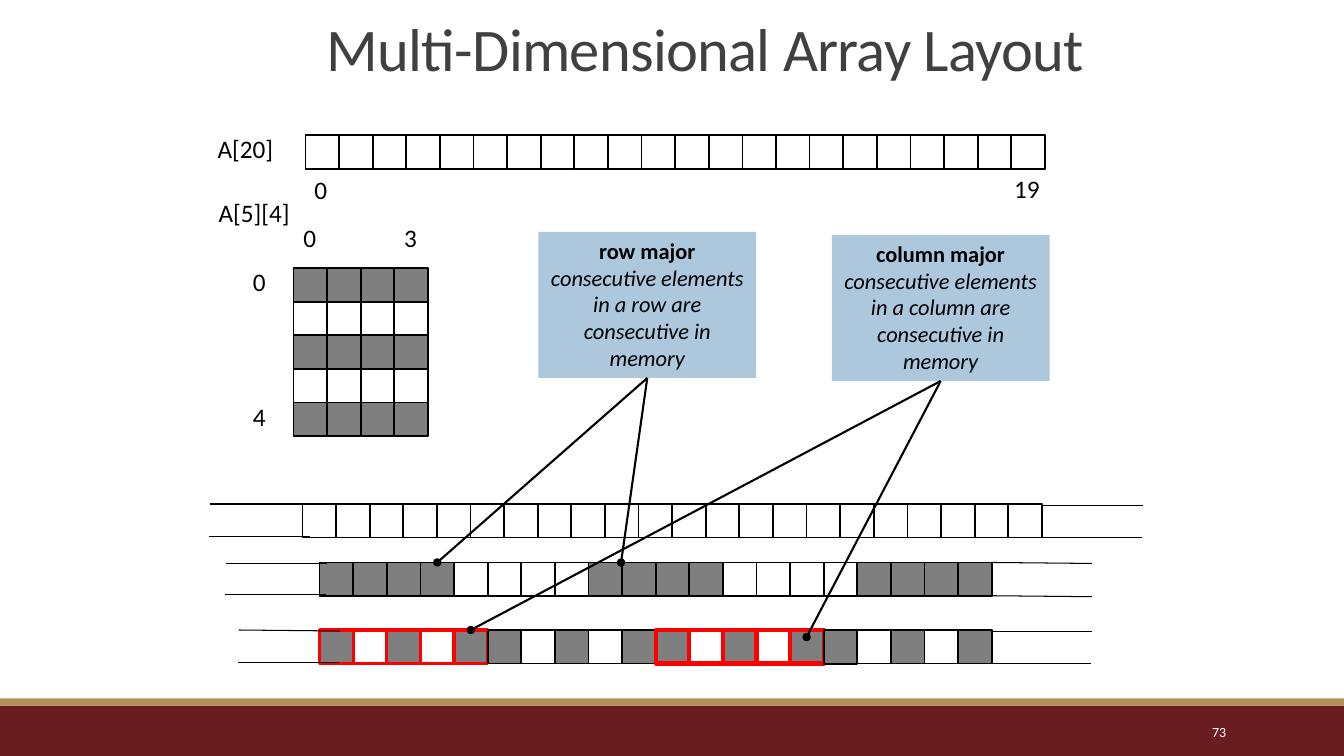
from lxml import etree
from pptx import Presentation
from pptx import util as u
from pptx.dml.color import RGBColor
from pptx.enum import shapes, text
from pptx.oxml import ns

BLACK = RGBColor(0, 0, 0)
WHITE = RGBColor(255, 255, 255)
GRAY = RGBColor(0x7F, 0x7F, 0x7F)
DARK = RGBColor(0x40, 0x40, 0x40)
RED = RGBColor(255, 0, 0)
BLUE = RGBColor(0xAD, 0xC8, 0xDD)
MAROON = RGBColor(0x69, 0x1D, 0x20)
GOLD = RGBColor(0xB1, 0x91, 0x5A)
CELL = 1 / 3
LEFT, MID, RIGHT = text.PP_ALIGN.LEFT, text.PP_ALIGN.CENTER, text.PP_ALIGN.RIGHT


class Board:
    """Draws on one slide with a shared font."""
    face = "Calibri"

    def __init__(self, slide):
        self.items = slide.shapes

    def style(self, par, size, color=BLACK, align=LEFT, bold=False, slant=False):
        par.alignment = align
        font = par.font
        font.name, font.size = self.face, u.Pt(size)
        font.bold, font.italic = bold, slant
        font.color.rgb = color

    def rect(self, x, y, w, h, fill=None, line=None, width=1.25):
        box = self.items.add_shape(shapes.MSO_SHAPE.RECTANGLE,
                                   *map(u.Inches, (x, y, w, h)))
        box.shadow.inherit = False
        if fill is None:
            box.fill.background()
        else:
            box.fill.solid()
            box.fill.fore_color.rgb = fill
        if line is None:
            box.line.fill.background()
        else:
            box.line.color.rgb = line
            box.line.width = u.Pt(width)
        return box

    def label(self, words, x, y, w, h=0.4, size=18, color=BLACK,
              align=LEFT, wrap=False, anchor=text.MSO_ANCHOR.TOP):
        frame = self.items.add_textbox(*map(u.Inches, (x, y, w, h))).text_frame
        frame.word_wrap = wrap
        frame.vertical_anchor = anchor
        par = frame.paragraphs[0]
        par.text = words
        self.style(par, size, color, align)
        return par

    def line(self, start, end, width=0.75):
        link = self.items.add_connector(shapes.MSO_CONNECTOR.STRAIGHT,
                                        *map(u.Inches, (*start, *end)))
        link.line.color.rgb = BLACK
        link.line.width = u.Pt(width)
        etree.SubElement(link._element.spPr, ns.qn("a:effectLst"))
        return link

    def cells(self, x, y, count, shaded=(), edges=None):
        """Row of cells; edges maps an index to its (color, width)."""
        edges = edges or {}
        return [self.rect(x + i * CELL, y, CELL, CELL,
                          GRAY if i in shaded else None,
                          *edges.get(i, (BLACK, 1.25)))
                for i in range(count)]

    def rails(self, starts):
        """Inch-long lines that carry the memory on past a row."""
        for x, y, drop in starts:
            self.line((x, y), (x + 1, y + drop))

    def note(self, x, y, lines, ends):
        """Callout with dotted pointers; ends holds (point, cell or None)."""
        box = self.rect(x, y, 2.16, 1.45, BLUE)
        frame = box.text_frame
        frame.word_wrap = True
        frame.vertical_anchor = text.MSO_ANCHOR.TOP
        for i, words in enumerate(lines):
            par = frame.add_paragraph() if i else frame.paragraphs[0]
            par.text = words
            self.style(par, 16, align=MID, bold=i == 0, slant=i > 0)
        for point, cell in ends:
            link = self.line((x + 1.08, y + 1.45), point, 1.5)
            link.begin_connect(box, 2)
            if cell is not None:
                link.end_connect(cell, 0)
            etree.SubElement(link.line._get_or_add_ln(),
                             ns.qn("a:tailEnd"), type="oval")


def main():
    deck = Presentation()
    deck.slide_width, deck.slide_height = u.Inches(13.33), u.Inches(7.5)
    board = Board(deck.slides.add_slide(deck.slide_layouts[6]))

    board.rect(0, 7, 13.33, 0.5, MAROON)
    board.rect(0, 6.93, 13.33, 0.07, GOLD)
    title = board.label("Multi-Dimensional Array Layout", 2.19, 0.19, 9.61, 0.67,
                        43.2, DARK, MID, True, text.MSO_ANCHOR.MIDDLE)
    title.line_spacing = 0.85
    title.runs[0]._r.get_or_add_rPr().set("spc", "-50")

    # Arrays as declared
    board.cells(3.03, 1.34, 22)
    for row in range(5):
        board.cells(2.91, 2.66 + row * CELL, 4, () if row % 2 else range(4))
    for words, x, y, w in (
            ("A[20]", 2.06, 1.27, 0.76), ("0", 3.02, 1.68, 0.34),
            ("19", 9.96, 1.67, 0.46), ("A[5][4]", 2.07, 1.91, 0.91),
            ("0", 2.91, 2.16, 0.34), ("3", 3.91, 2.16, 0.34),
            ("0", 2.41, 2.59, 0.34), ("4", 2.41, 3.93, 0.34)):
        board.label(words, x, y, w)

    # Arrays in memory
    by_row = board.cells(3.17, 5.58, 20, [i for i in range(20) if i // 4 % 2 == 0])
    board.rails([(9.83, 5.58, 0.01), (9.83, 5.91, 0.01),
                 (2.24, 5.59, 0), (2.23, 5.9, 0)])
    board.cells(3, 5, 22)
    board.rails([(2.08, 5, 0), (2.07, 5.32, 0), (10.34, 5.02, 0), (10.33, 5.33, 0)])
    edges = {i: (RED, 2.25) for i in range(5)}
    edges.update({i: (RED, 3) for i in range(10, 15)})
    edges[15] = (BLACK, 1.5)
    by_col = board.cells(3.17, 6.25, 20,
                         [i for i in range(20) if i % 5 % 2 == 0], edges)
    board.rails([(2.37, 6.25, 0.01), (2.36, 6.57, 0),
                 (9.83, 6.27, 0), (9.82, 6.58, 0)])

    board.note(5.34, 2.3,
               ("row major", "consecutive elements in a row are consecutive in",
                "memory"),
               (((4.33, 5.58), by_row[3]), ((6.16, 5.58), None)))
    board.note(8.25, 2.33,
               ("column major", "consecutive elements in a column are consecutive in",
                "memory"),
               (((4.67, 6.25), by_col[4]), ((8, 6.32), None)))
    board.label("73", 10.83, 7.06, 1.43, size=10, color=WHITE, align=RIGHT,
                wrap=True, anchor=text.MSO_ANCHOR.MIDDLE)
    deck.save("out.pptx")


if __name__ == "__main__":
    main()
